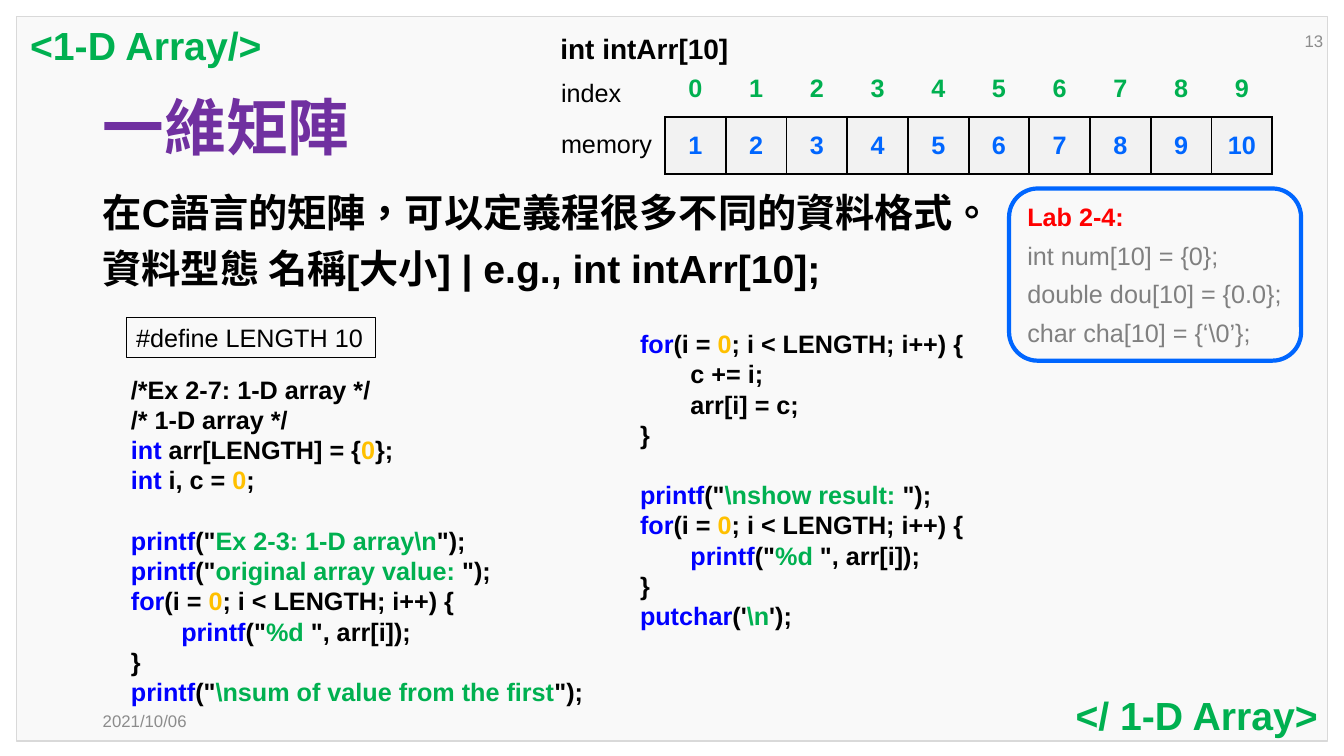
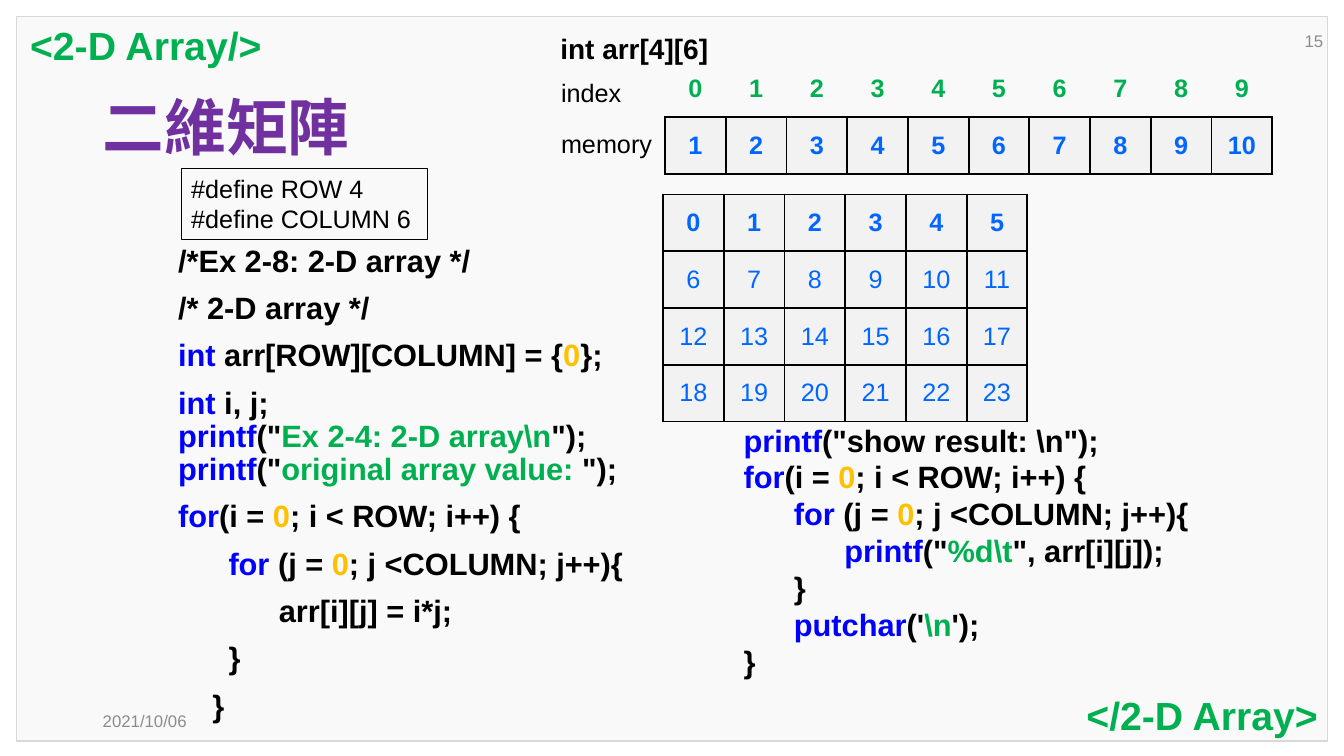
"""Build two slides on one- and two-dimensional arrays in C."""
from dataclasses import dataclass

import pptx
import pptx.dml.color
import pptx.enum.shapes
import pptx.enum.text
import pptx.oxml
import pptx.oxml.ns
import pptx.util

Cm, Pt = pptx.util.Cm, pptx.util.Pt
ALIGN = pptx.enum.text.PP_ALIGN
ANCHOR = pptx.enum.text.MSO_ANCHOR
SHAPE = pptx.enum.shapes.MSO_SHAPE


@dataclass(frozen=True)
class Theme:
    """Colours and type sizes of the deck."""
    font: str = "Arial"
    black: str = "000000"
    key: str = "0000FF"
    green: str = "00B050"
    gold: str = "FFC000"
    title: str = "7030A0"
    value: str = "0066FF"
    alert: str = "FF0000"
    gray: str = "808080"
    faint: str = "8C8C8C"
    panel: str = "F9F9F9"
    edge: str = "D9D9D9"
    cell: str = "F2F2F2"
    head: int = 44
    tag: int = 28
    code: int = 22
    name: int = 20
    base: int = 18
    small: int = 12


T = Theme()
MARKS = {"^": T.black, "@": T.key, "~": T.green, "$": T.gold}
PLAIN = "{2D5ABB26-0587-4C30-8999-92F81FD0307C}"
DATE = "2021/10/06"
CELL = (1.53, 1.43)
GAP = {"before": 21.6}
LOOP = "@for^(i = $0^; i < LENGTH; i++) {"
ROWS = "@for^(i = $0^; i < ROW; i++) {"
COLS = "\t@for^ (j = $0^; j <COLUMN; j++){"
SHOW = '\t@printf^("~%d^ ", arr[i]);'

DECK = [
    {
        "page": "13", "title": "一維矩陣", "open": "<1-D Array/>",
        "close": "</ 1-D Array>", "name": "int intArr[10]",
        "define": ["#define LENGTH 10"], "at": (3.18, 8, 6.28, 1.02),
        "texts": [
            ((2.34, 4.75, 29.74, 2.97),
             ["在C語言的矩陣，可以定義程很多不同的資料格式。",
              "資料型態 名稱[大小] | e.g., int intArr[10];"],
             {"size": T.tag, "space": 0.9, "before": 10}),
            ((3.05, 9.3, 13.7, 8.71),
             ["/*Ex 2-7: 1-D array */",
              "/* 1-D array */",
              "@int ^arr[LENGTH] = {$0^};",
              "@int ^i, c = $0^;",
              ('@printf^("~Ex 2-3: 1-D array\\n^");', GAP),
              '@printf^("~original array value:^ ");',
              LOOP, SHOW, "}",
              '@printf^("~\\nsum of value from the first^");'], {}),
            ((15.88, 8.15, 10.9, 7.95),
             [LOOP, "\tc += i;", "\tarr[i] = c;", "}",
              ('@printf^("~\\nshow result: ^");', GAP),
              LOOP, SHOW, "}", "@putchar^('~\\n^');"], {}),
        ],
        "lab": [("Lab 2-4:", {"color": T.alert, "bold": True}),
                "int num[10] = {0};", "double dou[10] = {0.0};",
                "char cha[10] = {‘\\0’};"],
    },
    {
        "page": "15", "title": "二維矩陣", "open": "<2-D Array/>",
        "close": "</2-D Array>", "name": "int arr[4][6]",
        "define": ["#define ROW 4", "#define COLUMN 6"],
        "at": (4.57, 4.24, 6.2, 1.8),
        "texts": [
            ((4.24, 6.07, 13.4, 12.55),
             ["/*Ex 2-8: 2-D array */",
              "/* 2-D array */",
              "@int ^arr[ROW][COLUMN] = {$0^};",
              "@int ^i, j;",
              ('@printf^("~Ex 2-4: 2-D array\\n^");', {"before": 0}),
              ('@printf^("~original array value:^ ");', {"before": 0}),
              ROWS, COLS, "\t\tarr[i][j] = i*j;", "\t}",
              ("}", {"indent": 0.86})],
             {"size": T.code, "space": 0.9, "before": 10}),
            ((18.49, 10.49, 14.96, 6.83),
             ['@printf^("show result: \\n");', ROWS, COLS,
              '\t\t@printf^("~%d\\t^", arr[i][j]);', "\t}",
              "\t@putchar^('~\\n^');", "}"],
             {"size": T.code}),
        ],
        "grid": (4, 6),
    },
]


def rgb(code):
    """Turn a hex code into a colour."""
    return pptx.dml.color.RGBColor.from_string(code)


def spans(line, color):
    """Split a marked line into pairs of text and colour."""
    part = ""
    for char in line:
        if char in MARKS:
            if part:
                yield part, color
            part, color = "", MARKS[char]
        else:
            part += char
    yield part, color


def style(par, line, size=T.base, color=T.black, bold=False, align=ALIGN.LEFT,
          space=None, before=0, after=0, indent=0):
    """Fill one paragraph with a marked line."""
    par.alignment, par.line_spacing = align, space
    par.space_before, par.space_after = Pt(before), Pt(after)
    if indent:
        par._p.get_or_add_pPr().set("marL", str(Cm(indent)))
    for part, tone in spans(line, color):
        run = par.add_run()
        run.text = part
        font = run.font
        font.name, font.size, font.bold = T.font, Pt(size), bold
        font.color.rgb = rgb(tone)
        run._r.get_or_add_rPr().set("lang", "zh-TW")


def write(frame, lines, anchor=ANCHOR.TOP, **form):
    """Write lines into a text frame; a line may carry its own format."""
    frame.word_wrap = True
    frame.auto_size = pptx.enum.text.MSO_AUTO_SIZE.NONE
    frame.vertical_anchor = anchor
    for num, item in enumerate(lines):
        line, own = (item, {}) if isinstance(item, str) else item
        par = frame.add_paragraph() if num else frame.paragraphs[0]
        style(par, line, **{**form, **own})


def label(slide, at, *lines, **form):
    """Add a text box."""
    write(slide.shapes.add_textbox(*map(Cm, at)).text_frame, lines, **form)


def frame(slide, kind, at, line, width, fill=None):
    """Add an outlined shape."""
    shape = slide.shapes.add_shape(kind, *map(Cm, at))
    shape.shadow.inherit = False
    shape.line.color.rgb, shape.line.width = rgb(line), Pt(width)
    if fill:
        shape.fill.solid()
        shape.fill.fore_color.rgb = rgb(fill)
    else:
        shape.fill.background()
    return shape


def border(cell):
    """Draw black lines around a cell."""
    props = cell._tc.get_or_add_tcPr()
    for side in "LRTB":
        props.append(pptx.oxml.parse_xml(
            f'<a:ln{side} {pptx.oxml.ns.nsdecls("a")} w="{Pt(1.5)}">'
            f'<a:solidFill><a:srgbClr val="{T.black}"/></a:solidFill>'
            f'</a:ln{side}>'))


def table(slide, left, top, rows, color=T.value, boxed=True):
    """Add a table of equal cells with a bold first row."""
    wide, high = CELL
    count = len(rows[0])
    grid = slide.shapes.add_table(
        len(rows), count, Cm(left), Cm(top),
        Cm(wide * count), Cm(high * len(rows))).table
    grid.first_row = grid.horz_banding = False
    grid._tbl.tblPr.find(pptx.oxml.ns.qn("a:tableStyleId")).text = PLAIN
    for col in grid.columns:
        col.width = Cm(wide)
    for num, row in enumerate(rows):
        grid.rows[num].height = Cm(high)
        for pos, value in enumerate(row):
            cell = grid.cell(num, pos)
            cell.vertical_anchor = ANCHOR.MIDDLE
            style(cell.text_frame.paragraphs[0], str(value), color=color,
                  bold=num == 0, align=ALIGN.CENTER)
            if boxed:
                border(cell)
                cell.fill.solid()
                cell.fill.fore_color.rgb = rgb(T.cell)
            else:
                cell.fill.background()


def panel(slide):
    """Put the background panel on the layout of a slide."""
    shape = frame(slide, SHAPE.RECTANGLE, (0.41, 0.41, 33.05, 18.26),
                  T.edge, 1, T.panel)
    slide.slide_layout.shapes.element.insert(2, shape.element)


def base(slide, data):
    """Add the parts that all slides share."""
    title = slide.shapes.title
    title.left, title.top, title.width, title.height = map(
        Cm, (2.34, 1.88, 9.5, 2.82))
    write(title.text_frame, [data["title"]], anchor=ANCHOR.MIDDLE,
          size=T.head, color=T.title, bold=True, space=0.9)
    note = {"size": T.small, "color": T.faint, "anchor": ANCHOR.MIDDLE}
    label(slide, (2.34, 17.65, 3, 1.02), DATE, **note)
    label(slide, (32.1, 0.51, 1.5, 1.02), data["page"],
          align=ALIGN.RIGHT, **note)
    tag = {"size": T.tag, "color": T.green, "bold": True}
    label(slide, (0.51, 0.41, 7.5, 1.45), data["open"], **tag)
    label(slide, (25.96, 17.3, 7.5, 1.45), data["close"],
          align=ALIGN.RIGHT, **tag)
    label(slide, (13.87, 0.66, 5.5, 1.12), data["name"],
          size=T.name, bold=True)
    label(slide, (13.89, 1.83, 2.8, 1.02), "index")
    label(slide, (13.89, 3.12, 2.9, 1.02), "memory")
    table(slide, 16.76, 1.52, [range(10)], color=T.green, boxed=False)
    table(slide, 16.76, 2.95, [range(1, 11)])


def build(slide, data):
    """Fill one slide."""
    base(slide, data)
    for at, lines, form in data["texts"]:
        label(slide, at, *lines, bold=True, **form)
    box = frame(slide, SHAPE.RECTANGLE, data["at"], T.black, 0.75)
    write(box.text_frame, data["define"])
    if "lab" in data:
        box = frame(slide, SHAPE.ROUNDED_RECTANGLE,
                    (25.43, 4.75, 7.36, 4.34), T.value, 3)
        write(box.text_frame, data["lab"], anchor=ANCHOR.MIDDLE,
              color=T.gray, after=6)
    if "grid" in data:
        high, wide = data["grid"]
        table(slide, 16.71, 4.9, [range(row * wide, (row + 1) * wide)
                                  for row in range(high)])


def main():
    """Build and save the deck."""
    deck = pptx.Presentation()
    deck.slide_width, deck.slide_height = Cm(33.87), Cm(19.05)
    for num, data in enumerate(DECK):
        slide = deck.slides.add_slide(deck.slide_layouts[5])
        if num == 0:
            panel(slide)
        build(slide, data)
    deck.save("out.pptx")


if __name__ == "__main__":
    main()
